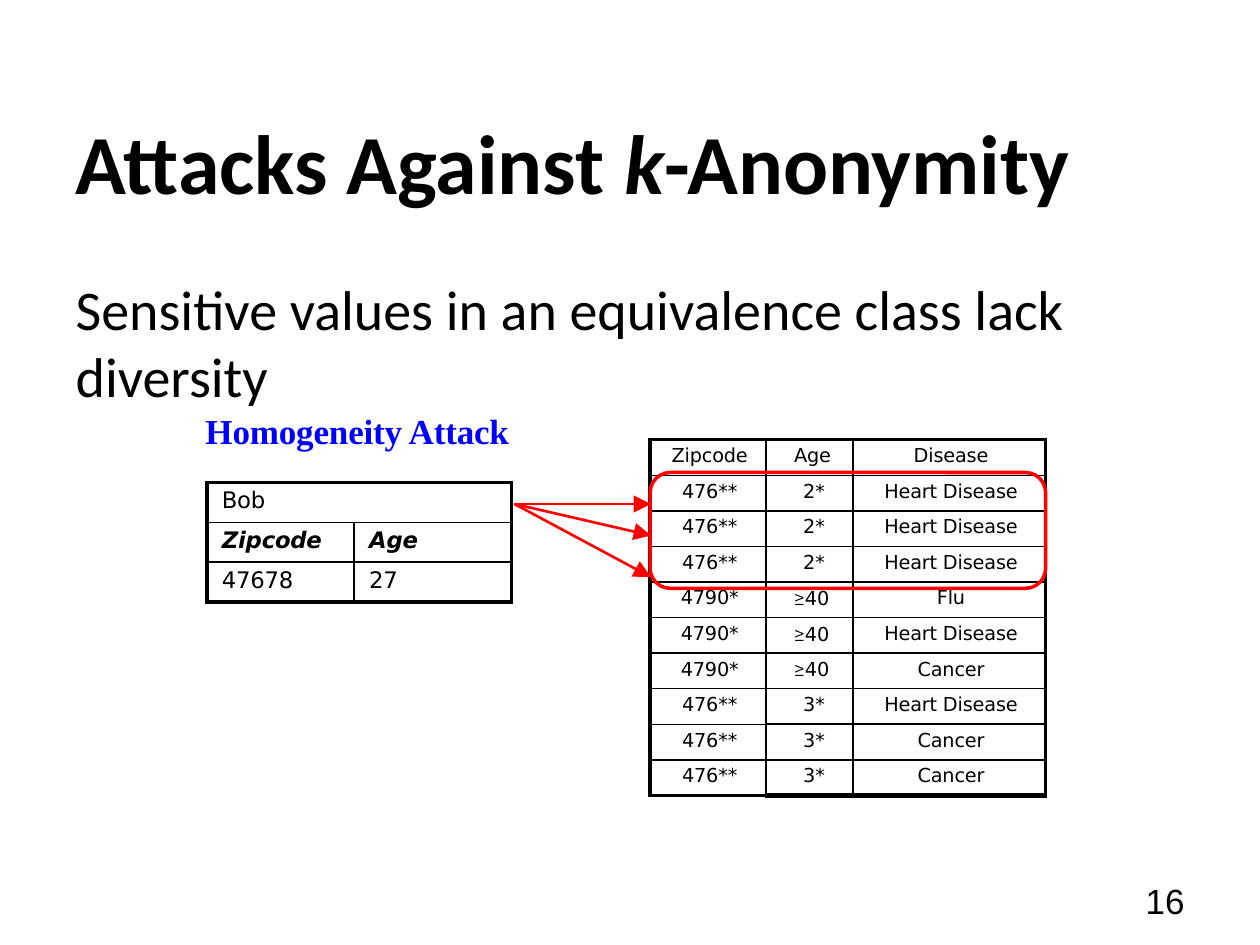
import lxml.etree
import pptx
import pptx.dml.color
import pptx.enum.shapes
import pptx.enum.text
import pptx.oxml.ns
import pptx.util

Pt = pptx.util.Pt
RGBColor = pptx.dml.color.RGBColor
Align = pptx.enum.text.PP_ALIGN
Anchor = pptx.enum.text.MSO_ANCHOR
qn = pptx.oxml.ns.qn

BLACK = RGBColor(0x00, 0x00, 0x00)
RED = RGBColor(0xFF, 0x00, 0x00)
BLUE = RGBColor(0x00, 0x00, 0xFF)

TABLE_FONT = "DejaVu Sans"
SYMBOL_FONT = "Montserrat"
OUTER_BORDER = 2.25
INNER_BORDER = 1


class SlideBuilder:
    """Holds the style and the current slide."""

    def __init__(self, slide):
        self.slide = slide

    def place(self, shape, left, top, width, height):
        shape.left, shape.top = Pt(left), Pt(top)
        shape.width, shape.height = Pt(width), Pt(height)

    def format_run(self, run, font, size, color=BLACK, bold=False, italic=False):
        run.font.name, run.font.size = font, Pt(size)
        run.font.bold, run.font.italic = bold, italic
        run.font.color.rgb = color

    def title(self, parts, box):
        shape = self.slide.shapes.title
        self.place(shape, *box)
        frame = shape.text_frame
        frame.auto_size = pptx.enum.text.MSO_AUTO_SIZE.NONE
        frame.vertical_anchor = Anchor.MIDDLE
        paragraph = frame.paragraphs[0]
        paragraph.alignment = Align.LEFT
        for text, italic in parts:
            run = paragraph.add_run()
            run.text = text
            self.format_run(run, "Calibri", 48, bold=True, italic=italic)

    def body(self, text, box):
        shape = self.slide.placeholders[1]
        self.place(shape, *box)
        frame = shape.text_frame
        frame.auto_size = pptx.enum.text.MSO_AUTO_SIZE.NONE
        frame.text = text
        paragraph = frame.paragraphs[0]
        properties = paragraph._p.get_or_add_pPr()
        properties.set("marL", "0")
        properties.set("indent", "0")
        lxml.etree.SubElement(properties, qn("a:buNone"))
        paragraph.space_before = Pt(0)
        self.format_run(paragraph.runs[0], "Calibri", 32)

    def text(self, text, box, font, size, color=BLACK, bold=False,
             align=Align.LEFT, anchor=Anchor.TOP, inset=0):
        frame = self.slide.shapes.add_textbox(*map(Pt, box)).text_frame
        frame.word_wrap = True
        frame.vertical_anchor = anchor
        frame.margin_left = frame.margin_right = Pt(inset)
        frame.margin_top = frame.margin_bottom = Pt(inset / 2)
        frame.text = text
        paragraph = frame.paragraphs[0]
        paragraph.alignment = align
        self.format_run(paragraph.runs[0], font, size, color, bold)
        return paragraph.runs[0]

    def border(self, cell, side, width):
        properties = cell._tc.get_or_add_tcPr()
        line = properties.find(qn("a:ln" + side))
        if line is None:
            line = lxml.etree.SubElement(properties, qn("a:ln" + side))
            fill = lxml.etree.SubElement(line, qn("a:solidFill"))
            lxml.etree.SubElement(fill, qn("a:srgbClr")).set("val", str(BLACK))
        line.set("w", str(Pt(width)))

    def cell(self, cell, text, size, align, left, right, heading):
        cell.margin_left, cell.margin_right = Pt(left), Pt(right)
        cell.margin_top, cell.margin_bottom = Pt(2.9), Pt(0)
        paragraph = cell.text_frame.paragraphs[0]
        paragraph.alignment = align
        parts = ["≥", text[1:]] if text.startswith("≥") else [text]
        for part in parts:
            run = paragraph.add_run()
            run.text = part
            font = SYMBOL_FONT if part == "≥" else TABLE_FONT
            self.format_run(run, font, size, bold=heading, italic=heading)
            run.font._element.set("spc", "-10")

    def table(self, rows, left, top, widths, row_height, size, layout,
              heading_row=None, merge_first_row=False):
        """layout(row, column) gives the alignment, left and right margins."""
        table = self.slide.shapes.add_table(
            len(rows), len(widths), Pt(left), Pt(top),
            Pt(sum(widths)), Pt(row_height * len(rows))).table
        table.first_row = table.horz_banding = False
        for column, width in zip(table.columns, widths):
            column.width = Pt(width)
        for row in table.rows:
            row.height = Pt(row_height)
        if merge_first_row:
            table.cell(0, 0).merge(table.cell(0, len(widths) - 1))
        for r, values in enumerate(rows):
            for c, value in enumerate(values):
                cell = table.cell(r, c)
                self.cell(cell, value, size, *layout(r, c), r == heading_row)
                span = cell.span_width if cell.is_merge_origin else 1
                outer = {"L": c == 0, "R": c + span == len(widths),
                         "T": r == 0, "B": r == len(rows) - 1}
                for side, is_outer in outer.items():
                    self.border(cell, side, OUTER_BORDER if is_outer else INNER_BORDER)
                cell.fill.background()
        return table

    def arrow(self, start, end):
        connector = self.slide.shapes.add_connector(
            pptx.enum.shapes.MSO_CONNECTOR.STRAIGHT, *map(Pt, start + end))
        connector.line.color.rgb = RED
        connector.line.width = Pt(1.5)
        head = lxml.etree.SubElement(connector.line._get_or_add_ln(), qn("a:tailEnd"))
        for name, value in (("type", "triangle"), ("w", "lg"), ("len", "lg")):
            head.set(name, value)
        lxml.etree.SubElement(connector._element.spPr, qn("a:effectLst"))

    def rounded_frame(self, box, radius):
        shape = self.slide.shapes.add_shape(
            pptx.enum.shapes.MSO_SHAPE.ROUNDED_RECTANGLE, *map(Pt, box))
        shape.adjustments[0] = radius / box[3]
        shape.shadow.inherit = False
        shape.fill.background()
        shape.line.color.rgb = RED
        shape.line.width = Pt(2)


def disease_layout(row, column):
    if column != 1:
        return Align.CENTER, 2, 0
    if row == 0:
        return Align.RIGHT, 0, 12.5
    return Align.RIGHT, 0, 13.5 if 4 <= row <= 6 else 16


def person_layout(row, column):
    return Align.LEFT, 8.6, 0


def main():
    presentation = pptx.Presentation()
    presentation.slide_width, presentation.slide_height = Pt(720), Pt(540)
    slide = presentation.slides.add_slide(presentation.slide_layouts[1])
    builder = SlideBuilder(slide)

    # Title, statement and slide number
    builder.title([("Attacks Against ", False), ("k", True), ("-Anonymity", False)],
                  (36, 46.8, 648, 90))
    builder.body("Sensitive values in an equivalence class lack diversity",
                 (36, 153.4, 670.3, 332.6))
    builder.text("16", (516, 500.4, 168, 28.8), "Arial", 20,
                 align=Align.RIGHT, anchor=Anchor.MIDDLE, inset=7.2)

    # Anonymised table: three equivalence classes of three records
    records = [("Zipcode", "Age", "Disease")]
    for zipcode, age, diseases in (
            ("476**", "2*", ("Heart Disease",) * 3),
            ("4790*", "≥40", ("Flu", "Heart Disease", "Cancer")),
            ("476**", "3*", ("Heart Disease", "Cancer", "Cancer"))):
        records += [(zipcode, age, disease) for disease in diseases]
    table = builder.table(records, 371.5, 251.3, (66.2, 49.7, 110.2), 20.35, 11,
                          disease_layout)
    for column in (1, 2):
        for row, side, width in ((7, "B", 1.5), (8, "T", 1.5), (8, "B", 1.5),
                                 (9, "T", 1.5), (9, "B", 3)):
            builder.border(table.cell(row, column), side, width)

    # What is known about the person
    builder.table([("Bob",), ("Zipcode", "Age"), ("47678", "27")],
                  118.2, 275.8, (84.2, 90), 22.75, 13, person_layout,
                  heading_row=1, merge_first_row=True)

    # Arrows to the matching class
    for end_y in (288, 306, 329.8):
        builder.arrow((294, 288), (372, end_y))
    builder.rounded_frame((371.5, 270, 226, 66.2), 11.5)

    # Attack name
    run = builder.text("Homogeneity Attack", (117.4, 234, 214.6, 25),
                       "Times New Roman", 20, BLUE, bold=True)
    run.font._element.set("spc", "-10")

    presentation.save("out.pptx")


if __name__ == "__main__":
    main()
